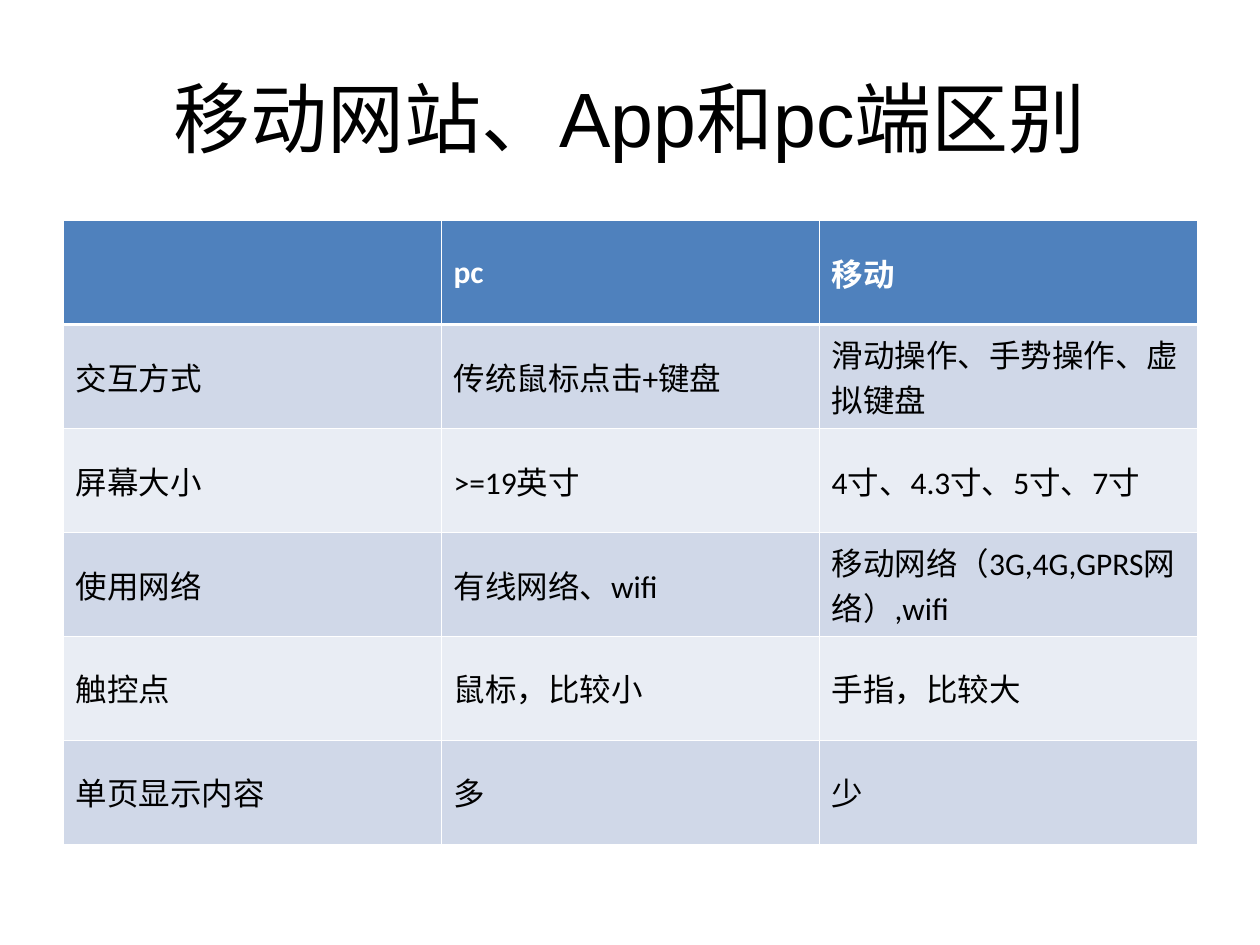
import lxml.etree
import pptx
import pptx.dml.color
import pptx.enum.text
import pptx.oxml.ns
import pptx.util

TITLE = "移动网站、App和pc端区别"
ROWS = [
    ("", "pc", "移动"),
    ("交互方式", "传统鼠标点击+键盘", "滑动操作、手势操作、虚拟键盘"),
    ("屏幕大小", ">=19英寸", "4寸、4.3寸、5寸、7寸"),
    ("使用网络", "有线网络、wifi", "移动网络（3G,4G,GPRS网络）,wifi"),
    ("触控点", "鼠标，比较小", "手指，比较大"),
    ("单页显示内容", "多", "少"),
]
HEADER_FILL = "4F81BD"
BAND_FILLS = ("E9EDF4", "D0D8E8")
BLACK, WHITE = "000000", "FFFFFF"
THIN, THICK = 0.45, 1.47

WIDTH, HEIGHT = pptx.util.Inches(10), pptx.util.Inches(7.5)
MARGIN = int(WIDTH * 0.05)
CONTENT_WIDTH = WIDTH - 2 * MARGIN
TITLE_TOP, TITLE_HEIGHT = int(HEIGHT * 0.04), pptx.util.Inches(1.25)
TABLE_TOP, TABLE_HEIGHT = pptx.util.Inches(1.75), int(HEIGHT * 0.66)


def color(value):
    return pptx.dml.color.RGBColor.from_string(value)


def format_paragraph(paragraph, font_name, size, text_color, bold=False):
    for run in paragraph.runs:
        run.font.name = font_name
        run.font.size = pptx.util.Pt(size)
        run.font.bold = bold
        run.font.color.rgb = color(text_color)


def set_borders(cell, widths):
    properties = cell._tc.get_or_add_tcPr()
    qualified = pptx.oxml.ns.qn
    for index, (side, width) in enumerate(widths.items()):
        line = lxml.etree.Element(qualified(f"a:ln{side}"), w=str(pptx.util.Pt(width)))
        fill = lxml.etree.SubElement(line, qualified("a:solidFill"))
        lxml.etree.SubElement(fill, qualified("a:srgbClr"), val=WHITE)
        properties.insert(index, line)


def format_cell(cell, row_index):
    is_header = row_index == 0
    cell.vertical_anchor = pptx.enum.text.MSO_ANCHOR.MIDDLE
    cell.fill.solid()
    cell.fill.fore_color.rgb = color(HEADER_FILL if is_header else BAND_FILLS[row_index % 2])
    set_borders(cell, {
        "L": THIN,
        "R": THIN,
        "T": THICK if row_index == 1 else THIN,
        "B": THICK if is_header else THIN,
    })
    paragraph = cell.text_frame.paragraphs[0]
    paragraph.space_before = pptx.util.Pt(4.5)
    format_paragraph(paragraph, "Calibri", 18, WHITE if is_header else BLACK, is_header)


def add_title(slide):
    title = slide.shapes.title
    title.left, title.top = MARGIN, TITLE_TOP
    title.width, title.height = CONTENT_WIDTH, TITLE_HEIGHT
    title.text_frame.text = TITLE
    title.text_frame.vertical_anchor = pptx.enum.text.MSO_ANCHOR.MIDDLE
    paragraph = title.text_frame.paragraphs[0]
    paragraph.alignment = pptx.enum.text.PP_ALIGN.CENTER
    format_paragraph(paragraph, "Arial", 44, BLACK)


def add_comparison(slide):
    table = slide.shapes.add_table(
        len(ROWS), len(ROWS[0]), MARGIN, TABLE_TOP, CONTENT_WIDTH, TABLE_HEIGHT
    ).table
    for row_index, texts in enumerate(ROWS):
        for column_index, text in enumerate(texts):
            cell = table.cell(row_index, column_index)
            cell.text_frame.text = text
            format_cell(cell, row_index)


def main():
    presentation = pptx.Presentation()
    presentation.slide_width, presentation.slide_height = WIDTH, HEIGHT
    slide = presentation.slides.add_slide(presentation.slide_layouts[5])
    add_title(slide)
    add_comparison(slide)
    presentation.save("out.pptx")


if __name__ == "__main__":
    main()
